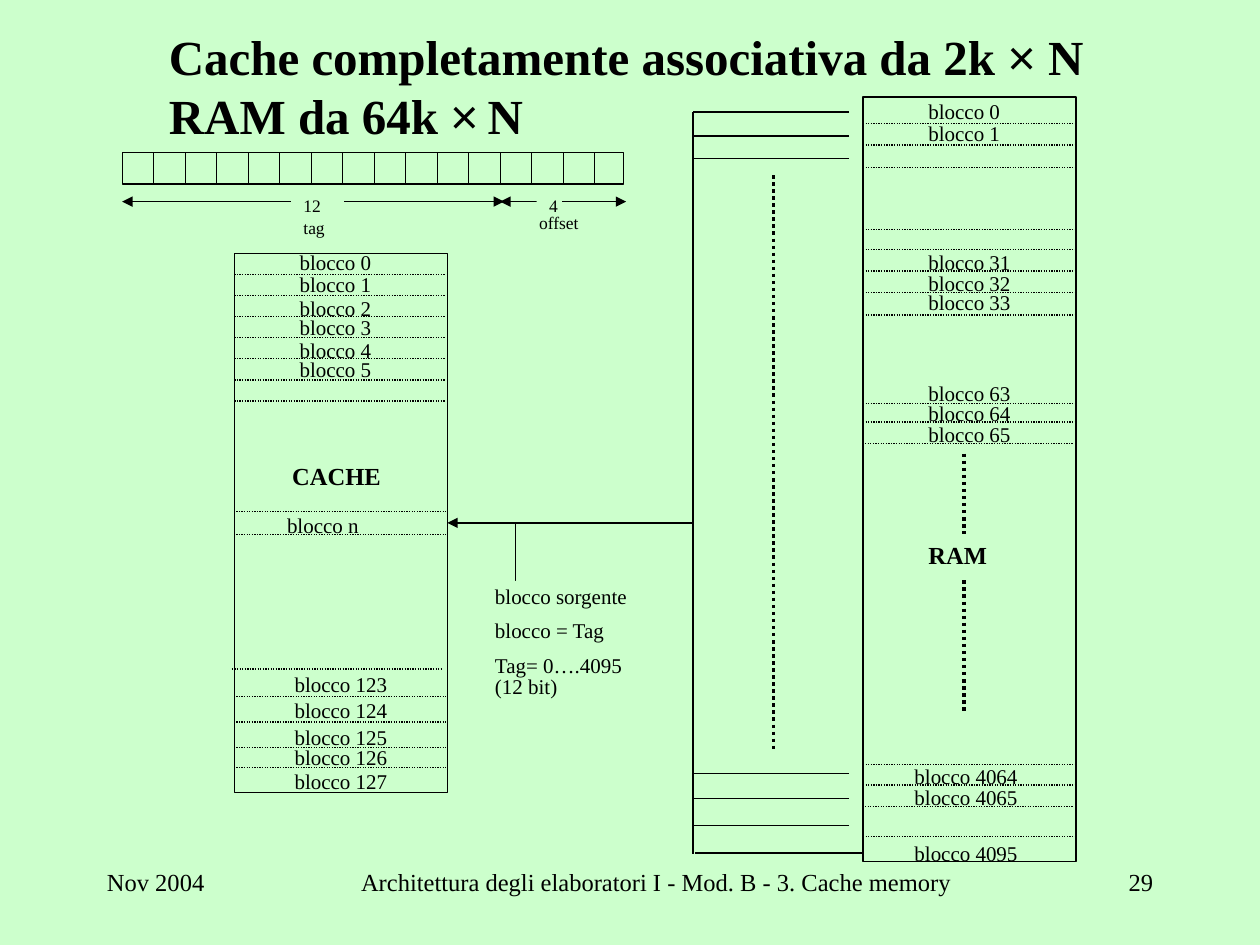
from pptx import Presentation
from pptx.dml.color import RGBColor
from pptx.enum.dml import MSO_LINE
from pptx.enum.shapes import MSO_CONNECTOR, MSO_SHAPE
from pptx.enum.text import MSO_ANCHOR, MSO_AUTO_SIZE, PP_ALIGN
from pptx.oxml.ns import qn
from pptx.util import Inches, Pt
from lxml import etree

LEFT, MID, RIGHT = PP_ALIGN.LEFT, PP_ALIGN.CENTER, PP_ALIGN.RIGHT
TOP, CENTER = MSO_ANCHOR.TOP, MSO_ANCHOR.MIDDLE
GROW, FIXED = MSO_AUTO_SIZE.SHAPE_TO_FIT_TEXT, MSO_AUTO_SIZE.NONE
DOTS, SOLID = MSO_LINE.ROUND_DOT, MSO_LINE.SOLID
STRAIGHT, RECT = MSO_CONNECTOR.STRAIGHT, MSO_SHAPE.RECTANGLE
HUES = {"ink": "000000", "page": "CCFFCC"}
COLS, ROWS = 100, 75
SERIF, SANS = "Times New Roman", "Arial"


def hue(name):
    return RGBColor.from_string(HUES[name])


def put(item, vals):
    for key, val in vals.items():
        setattr(item, key, val)


class Page:
    def __init__(self, deck):
        self.wide, self.high = deck.slide_width, deck.slide_height
        self.slide = deck.slides.add_slide(deck.slide_layouts[5])
        self.shapes = self.slide.shapes
        back = self.slide.background.fill
        back.solid()
        back.fore_color.rgb = hue("page")

    def x(self, col):
        return round(self.wide * col / COLS)

    def y(self, row):
        return round(self.high * row / ROWS)

    def area(self, left, top, wide, high):
        return self.x(left), self.y(top), self.x(wide), self.y(high)

    def style(self, run, size, bold=False, face=SERIF):
        put(run.font, {"name": face, "size": Pt(size), "bold": bold})
        run.font.color.rgb = hue("ink")

    def title(self, area, parts):
        box = self.shapes.title
        put(box, dict(zip(("left", "top", "width", "height"), self.area(*area))))
        put(box.text_frame, {"word_wrap": True, "auto_size": FIXED,
                             "vertical_anchor": CENTER})
        para = box.text_frame.paragraphs[0]
        put(para, {"alignment": LEFT, "space_before": Pt(0)})
        for part in parts:
            if part is None:
                para.add_line_break()
                continue
            text, size, face = part
            run = para.add_run()
            run.text = text
            self.style(run, size, face == SERIF, face)

    def frame(self, *area):
        box = self.shapes.add_shape(RECT, *self.area(*area))
        box.shadow.inherit = False
        box.fill.background()
        box.line.color.rgb = hue("ink")
        box.line.width = Pt(0.75)
        return box

    def text(self, area, lines, size=12, bold=False, align=LEFT, fill=False,
             fit=GROW, gap=0, lead=1.0):
        box = self.shapes.add_textbox(*self.area(*area))
        if fill:
            box.fill.solid()
            box.fill.fore_color.rgb = hue("page")
        body = box.text_frame
        put(body, {"word_wrap": True, "auto_size": fit, "vertical_anchor": TOP})
        for num, line in enumerate(lines):
            para = body.add_paragraph() if num else body.paragraphs[0]
            put(para, {"alignment": align, "line_spacing": lead,
                       "space_before": Pt(gap)})
            run = para.add_run()
            run.text = line
            self.style(run, size, bold)

    def line(self, x1, y1, x2, y2, dash=SOLID, width=0.75, ends=()):
        wire = self.shapes.add_connector(
            STRAIGHT, self.x(x1), self.y(y1), self.x(x2), self.y(y2))
        wire.line.color.rgb = hue("ink")
        put(wire.line, {"width": Pt(width), "dash_style": dash})
        for end in ends:
            etree.SubElement(wire.line._ln, qn(f"a:{end}")).set("type", "triangle")
        etree.SubElement(wire._element.spPr, qn("a:effectLst"))
        return wire

    def blocks(self, left, wide, rows):
        for name, top in rows:
            self.text((left, top, wide, 3), [f"blocco {name}"])

    def rules(self, left, tops):
        for top in tops:
            self.line(left, top, left + 16.7, top, DOTS)


def main():
    deck = Presentation()
    deck.slide_width, deck.slide_height = Inches(10), Inches(7.5)
    page = Page(deck)

    page.title((12.4, 4.3, 85, 5), [
        ("Cache completamente associativa da 2k ", 28, SERIF), ("×", 28, SANS),
        (" N", 28, SERIF), None, ("RAM da 64k ", 28, SERIF), ("×", 28, SANS),
        (" ", 20, SERIF), ("N", 28, SERIF)])

    cache = page.frame(18.6, 20.1, 16.9, 42.8)
    page.blocks(22.8, 8.3, enumerate((19.3, 21.1, 23, 24.5, 26.3, 27.8)))
    page.blocks(21.8, 8.3, [("n", 40.2)])
    page.blocks(22.4, 10, enumerate((52.8, 54.9, 57, 58.6, 60.5), 123))
    page.rules(18.6, [21.8 + 1.67 * num for num in range(7)])
    page.rules(18.75, (40.6, 42.4, 55.3, 57.3, 59.3, 60.9))
    page.rules(18.4, [53.1])
    page.text((22.2, 36.1, 14.2, 3.4), ["CACHE"], 14, True)

    page.frame(68.5, 7.7, 16.9, 60.7)
    page.blocks(72.7, 9.9, [
        (0, 7.3), (1, 9.1), (31, 19.3), (32, 21), (33, 22.5),
        (63, 29.7), (64, 31.3), (65, 33)])
    page.blocks(71.6, 12.7, [(4064, 60.1), (4065, 61.8), (4095, 66.2)])
    page.rules(68.7, (9.8, 11.5, 13.3, 18.2, 19.8, 21.5, 23.2, 25, 32, 33.5,
                      60.7, 62.3, 66.4))
    page.rules(68.45, (35.2, 64))
    page.line(76.5, 36, 76.5, 56.6, DOTS, 2)
    page.text((72.7, 42.4, 7.4, 3.4), ["RAM"], 14, True, fill=True)

    page.line(55, 8.9, 55, 67.8)
    for top in (8.9, 10.8, 12.6, 61.4, 63.4, 65.5):
        page.line(67.4, top, 55, top)
    page.line(55.2, 67.7, 68.5, 67.7)
    page.line(61.4, 13.9, 61.4, 59.5, DOTS, 2)
    load = page.line(55, 41.5, 35.5, 41.5, ends=["tailEnd"])
    load.end_connect(cache, 3)
    page.line(40.9, 46.7, 40.9, 41.5)
    page.text((38.3, 46.1, 14.1, 9.9),
              ["blocco sorgente", "blocco = Tag", "Tag= 0….4095 (12 bit)"],
              fill=True, gap=7.5, lead=0.85)

    page.frame(9.7, 12.1, 39.8, 2.5)
    for bit in range(1, 16):
        page.line(9.7 + 2.5 * bit, 12.1, 9.7 + 2.5 * bit, 14.6)
    for start, stop in ((49.7, 39.7), (40, 9.7)):
        page.line(start, 16, stop, 16, ends=["headEnd", "tailEnd"])
    for name, left, top, wide, fill in (
            ("4", 42.6, 15, 2, True), ("12", 23.1, 15, 4.2, True),
            ("tag", 23.1, 16.7, 5.1, False), ("offset", 41.8, 16.3, 7.1, False)):
        page.text((left, top, wide, 2.7), [name], 10, fill=fill)

    for note, left, wide, align in (
            ("Architettura degli elaboratori I - Mod. B - 3. Cache memory",
             26.7, 50.8, MID),
            ("29", 81.7, 10.8, RIGHT), ("Nov 2004", 7.5, 16.7, LEFT)):
        page.text((left, 68.3, wide, 5), [note], 14, align=align, fit=FIXED)

    deck.save("out.pptx")


if __name__ == "__main__":
    main()
